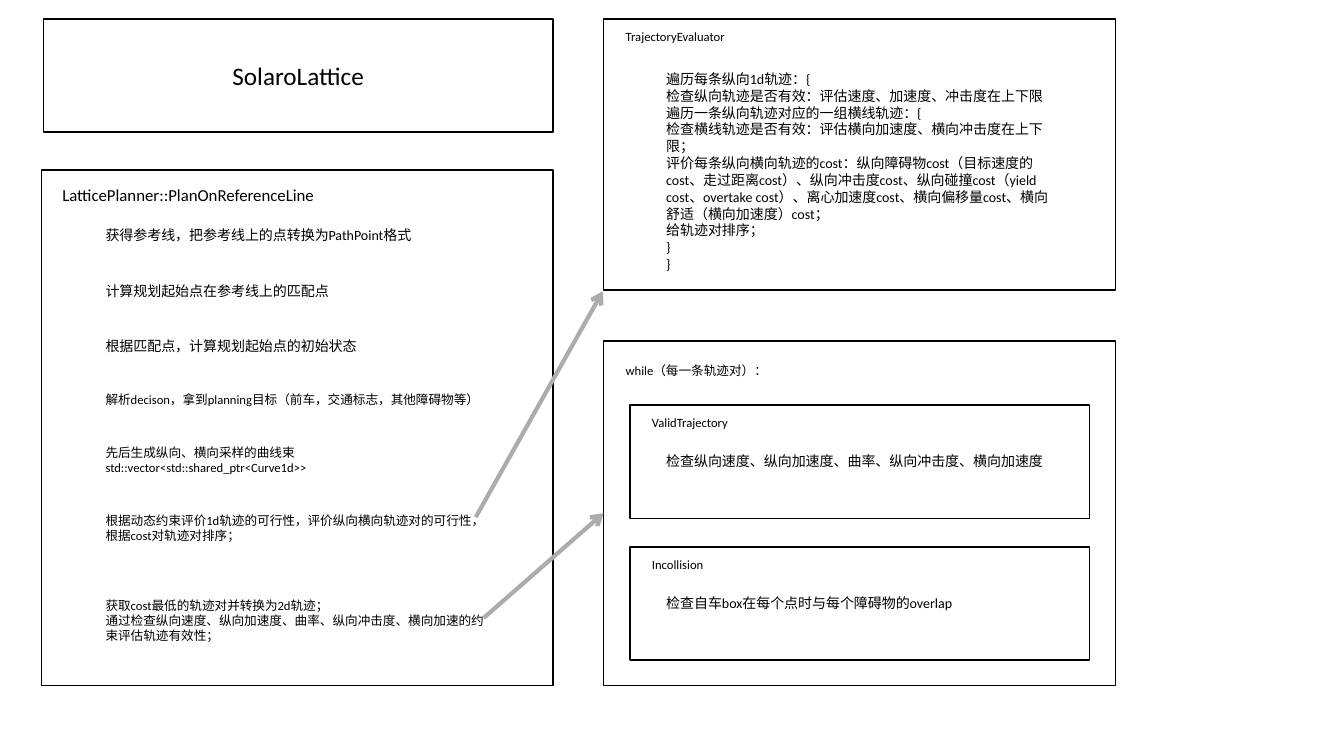
from lxml import etree
from pptx import Presentation
from pptx.dml.color import RGBColor
from pptx.enum.shapes import MSO_CONNECTOR, MSO_SHAPE
from pptx.enum.text import MSO_ANCHOR, MSO_AUTO_SIZE, PP_ALIGN
from pptx.oxml.ns import qn
from pptx.util import Cm, Pt

BLACK = RGBColor(0x00, 0x00, 0x00)
GREY = RGBColor(0xAF, 0xAB, 0xAB)
FONT = "Calibri"
TEXT_WIDTH = 10.26
PANEL_WIDTH = 12.9
LEFT_PANEL, RIGHT_PANEL = 1.04, 15.21
STEP_LEFT, DETAIL_LEFT = 2.41, 16.54

# top, font size, number of lines, paragraphs
PLANNING_STEPS = [
    (5.59, 10, 1, ["获得参考线，把参考线上的点转换为PathPoint格式"]),
    (6.99, 10, 1, ["计算规划起始点在参考线上的匹配点"]),
    (8.39, 10, 1, ["根据匹配点，计算规划起始点的初始状态"]),
    (9.75, 9, 1, ["解析decison，拿到planning目标（前车，交通标志，其他障碍物等）"]),
    (11.08, 9, 2, ["先后生成纵向、横向采样的曲线束",
                   "std::vector<std::shared_ptr<Curve1d>>"]),
    (12.8, 9, 2, ["根据动态约束评价1d轨迹的可行性，评价纵向横向轨迹对的可行性，"
                  "根据cost对轨迹对排序；"]),
    (14.94, 9, 3, ["获取cost最低的轨迹对并转换为2d轨迹；",
                   "通过检查纵向速度、纵向加速度、曲率、纵向冲击度、横向加速的约束评估轨迹有效性；"]),
]

EVALUATION = [
    "遍历每条纵向1d轨迹：{",
    "检查纵向轨迹是否有效：评估速度、加速度、冲击度在上下限",
    "遍历一条纵向轨迹对应的一组横线轨迹：{",
    "检查横线轨迹是否有效：评估横向加速度、横向冲击度在上下限；",
    "评价每条纵向横向轨迹的cost：纵向障碍物cost（目标速度的cost、走过距离cost）、"
    "纵向冲击度cost、纵向碰撞cost（yield cost、overtake cost）、离心加速度cost、"
    "横向偏移量cost、横向舒适（横向加速度）cost；",
    "给轨迹对排序；",
    "}",
    "}",
]

CHECKS = [
    ("ValidTrajectory", "检查纵向速度、纵向加速度、曲率、纵向冲击度、横向加速度"),
    ("Incollision", "检查自车box在每个点时与每个障碍物的overlap"),
]


def write_text(text_frame, paragraphs, size=9, color=BLACK, align=PP_ALIGN.LEFT):
    for index, text in enumerate(paragraphs):
        paragraph = text_frame.paragraphs[0] if index == 0 else text_frame.add_paragraph()
        paragraph.alignment = align
        run = paragraph.add_run()
        run.text = text
        run.font.name = FONT
        run.font.size = Pt(size)
        run.font.color.rgb = color


class FlowSlide:
    def __init__(self, presentation):
        self.slide = presentation.slides.add_slide(presentation.slide_layouts[5])
        self.shapes = self.slide.shapes

    def start_group(self):
        """Put the following boxes and texts into a new group."""
        self.shapes = self.slide.shapes.add_group_shape().shapes

    def outline(self, shape):
        shape.fill.background()
        shape.line.color.rgb = BLACK
        shape.line.width = Pt(1)

    def title(self, text, left, top, width, height):
        shape = self.slide.shapes.title
        shape.left, shape.top, shape.width, shape.height = map(Cm, (left, top, width, height))
        self.outline(shape)
        shape.text_frame.auto_size = MSO_AUTO_SIZE.NONE
        shape.text_frame.vertical_anchor = MSO_ANCHOR.MIDDLE
        write_text(shape.text_frame, [text], size=18, align=PP_ALIGN.CENTER)

    def box(self, left, top, width, height):
        shape = self.shapes.add_shape(MSO_SHAPE.RECTANGLE, *map(Cm, (left, top, width, height)))
        shape.shadow.inherit = False
        self.outline(shape)

    def text(self, paragraphs, left, top, size=9, lines=1):
        height = 0.25 + 0.043 * size * lines
        shape = self.shapes.add_textbox(Cm(left), Cm(top), Cm(TEXT_WIDTH), Cm(height))
        shape.text_frame.word_wrap = True
        shape.text_frame.auto_size = MSO_AUTO_SIZE.SHAPE_TO_FIT_TEXT
        write_text(shape.text_frame, paragraphs, size=size)

    def arrow(self, *ends):
        connector = self.slide.shapes.add_connector(MSO_CONNECTOR.STRAIGHT, *map(Cm, ends))
        connector.line.color.rgb = GREY
        connector.line.width = Pt(3)
        etree.SubElement(connector.line._get_or_add_ln(), qn("a:tailEnd"), type="arrow")
        etree.SubElement(connector._element.spPr, qn("a:effectLst"))


def main():
    presentation = Presentation()
    presentation.slide_width, presentation.slide_height = Cm(33.87), Cm(19.05)
    flow = FlowSlide(presentation)
    flow.title("SolaroLattice", 1.09, 0.48, 12.85, 2.85)

    flow.start_group()
    flow.box(LEFT_PANEL, 4.28, PANEL_WIDTH, 13)
    flow.text(["LatticePlanner::PlanOnReferenceLine"], 1.32, 4.52, size=12)
    for top, size, lines, paragraphs in PLANNING_STEPS:
        flow.text(paragraphs, STEP_LEFT, top, size=size, lines=lines)

    flow.start_group()
    flow.box(RIGHT_PANEL, 0.48, PANEL_WIDTH, 6.83)
    flow.text(["TrajectoryEvaluator"], 15.52, 0.61)
    flow.text(EVALUATION, DETAIL_LEFT, 1.65, size=10, lines=12)

    flow.start_group()
    flow.box(RIGHT_PANEL, 8.59, PANEL_WIDTH, 8.69)
    flow.text(["while（每一条轨迹对）："], 15.52, 9.02)
    for index, (name, detail) in enumerate(CHECKS):
        top = 10.21 + 3.57 * index
        flow.box(15.88, top, 11.58, 2.85)
        flow.text([name], 16.18, top + 0.13)
        flow.text([detail], DETAIL_LEFT, top + 1.07, size=10)

    flow.arrow(11.99, 13.03, 15.19, 7.34)
    flow.arrow(12.19, 15.57, 15.21, 12.93)
    presentation.save("out.pptx")


if __name__ == "__main__":
    main()
